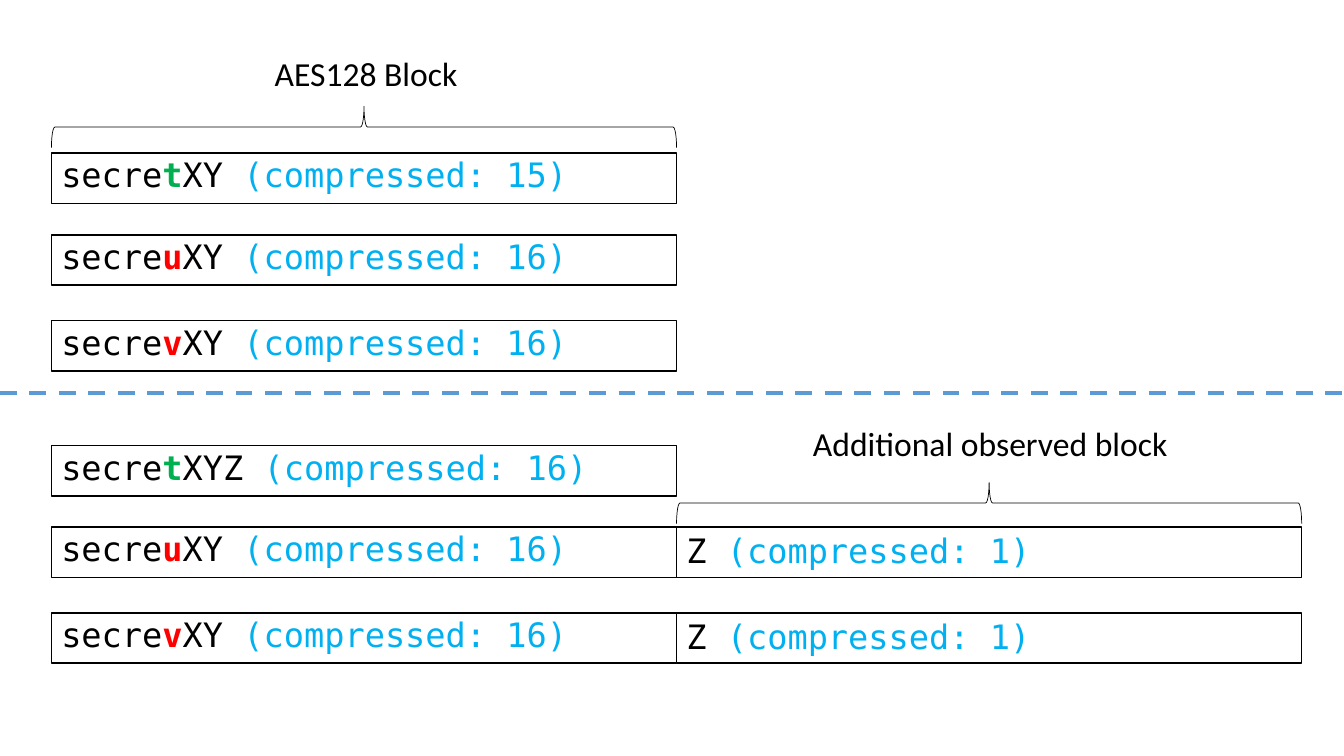
from dataclasses import dataclass

from lxml.etree import SubElement
from pptx import Presentation
from pptx.dml.color import RGBColor
from pptx.enum.dml import MSO_LINE
from pptx.enum.shapes import MSO_CONNECTOR, MSO_SHAPE
from pptx.enum.text import MSO_AUTO_SIZE
from pptx.oxml.ns import qn
from pptx.shapes.autoshape import Shape
from pptx.slide import Slide
from pptx.util import Inches, Pt


@dataclass(frozen=True)
class Theme:
    black: str = "000000"
    white: str = "FFFFFF"
    match: str = "00B050"
    miss: str = "FF0000"
    note: str = "00B0F0"
    divider: str = "5B9BD5"
    code_font: str = "DejaVu Sans Mono"
    label_font: str = "Calibri"
    size: int = 24
    box_line: float = 1
    brace_line: float = 0.5
    divider_line: float = 3


@dataclass(frozen=True)
class Block:
    group: int
    row: int
    column: int
    prefix: str
    guess: str
    suffix: str
    compressed: int


@dataclass(frozen=True)
class BraceLabel:
    text: str
    column: int
    brace_y: float
    top: float
    width: float


THEME = Theme()
SLIDE_W, SLIDE_H = 13.33, 7.5
MARGIN, COLUMN_W, ROW_H = 0.51, 6.2, 0.5
GROUP_TOPS = (1.52, 4.42)
ROW_OFFSETS = (0, 0.81, 1.66)
TEXT_LIFTS = (0.04, 0.02)
BRACE_DEPTH = 0.41
LABEL_SHIFT = 0.03
DIVIDER_Y = 3.9

BLOCKS = (
    Block(0, 0, 0, "secre", "t", "XY ", 15),
    Block(0, 1, 0, "secre", "u", "XY ", 16),
    Block(0, 2, 0, "secre", "v", "XY ", 16),
    Block(1, 0, 0, "secre", "t", "XYZ ", 16),
    Block(1, 1, 0, "secre", "u", "XY ", 16),
    Block(1, 2, 0, "secre", "v", "XY ", 16),
    Block(1, 1, 1, "Z ", "", "", 1),
    Block(1, 2, 1, "Z ", "", "", 1),
)
LABELS = (
    BraceLabel("AES128 Block", 0, 1.26, 0.48, 2.03),
    BraceLabel("Additional observed block", 1, 4.99, 4.15, 3.75),
)


def column_left(column: int) -> float:
    return MARGIN + column * COLUMN_W


def add_text(s: Slide, left: float, top: float, width: float,
             runs: list[tuple[str, str, bool]], *, font: str,
             wrap: bool = True) -> None:
    """Add one line of text; each run is its text, colour and bold flag."""
    tf = s.shapes.add_textbox(
        Inches(left), Inches(top), Inches(width), Inches(ROW_H)).text_frame
    tf.word_wrap = wrap
    tf.auto_size = MSO_AUTO_SIZE.SHAPE_TO_FIT_TEXT
    p = tf.paragraphs[0]
    for text, color, bold in runs:
        r = p.add_run()
        r.text = text
        r.font.name = font
        r.font.size = Pt(THEME.size)
        r.font.bold = bold
        r.font.color.rgb = RGBColor.from_string(color)


def add_outline(s: Slide, kind: MSO_SHAPE, left: float, top: float,
                width: float, height: float, line: float) -> Shape:
    sp = s.shapes.add_shape(
        kind, Inches(left), Inches(top), Inches(width), Inches(height))
    sp.shadow.inherit = False
    sp.fill.background()
    sp.line.color.rgb = RGBColor.from_string(THEME.black)
    sp.line.width = Pt(line)
    return sp


def add_block(s: Slide, block: Block) -> None:
    left = column_left(block.column)
    top = GROUP_TOPS[block.group] + ROW_OFFSETS[block.row]
    box = add_outline(s, MSO_SHAPE.RECTANGLE, left, top, COLUMN_W, ROW_H,
                      THEME.box_line)
    box.fill.solid()
    box.fill.fore_color.rgb = RGBColor.from_string(THEME.white)

    guess_color = THEME.match if block.guess == "t" else THEME.miss
    runs = [
        (block.prefix, THEME.black, False),
        (block.guess, guess_color, True),
        (block.suffix, THEME.black, False),
        (f"(compressed: {block.compressed})", THEME.note, False),
    ]
    add_text(s, left, top - TEXT_LIFTS[block.column], COLUMN_W,
             [run for run in runs if run[0]], font=THEME.code_font)


def add_brace_label(s: Slide, label: BraceLabel) -> None:
    center = column_left(label.column) + COLUMN_W / 2
    brace = add_outline(s, MSO_SHAPE.LEFT_BRACE, center - BRACE_DEPTH / 2,
                        label.brace_y - COLUMN_W / 2, BRACE_DEPTH, COLUMN_W,
                        THEME.brace_line)
    brace.rotation = 90
    add_text(s, center - label.width / 2 + LABEL_SHIFT, label.top, label.width,
             [(label.text, THEME.black, False)], font=THEME.label_font,
             wrap=False)


def add_divider(s: Slide) -> None:
    y = Inches(DIVIDER_Y)
    line = s.shapes.add_connector(
        MSO_CONNECTOR.STRAIGHT, 0, y, Inches(SLIDE_W), y)
    line.line.color.rgb = RGBColor.from_string(THEME.divider)
    line.line.width = Pt(THEME.divider_line)
    line.line.dash_style = MSO_LINE.DASH
    SubElement(line._element.spPr, qn("a:effectLst"))


def main() -> None:
    prs = Presentation()
    prs.slide_width, prs.slide_height = Inches(SLIDE_W), Inches(SLIDE_H)
    s = prs.slides.add_slide(prs.slide_layouts[6])
    for block in BLOCKS:
        add_block(s, block)
    for label in LABELS:
        add_brace_label(s, label)
    add_divider(s)
    prs.save("out.pptx")


if __name__ == "__main__":
    main()
